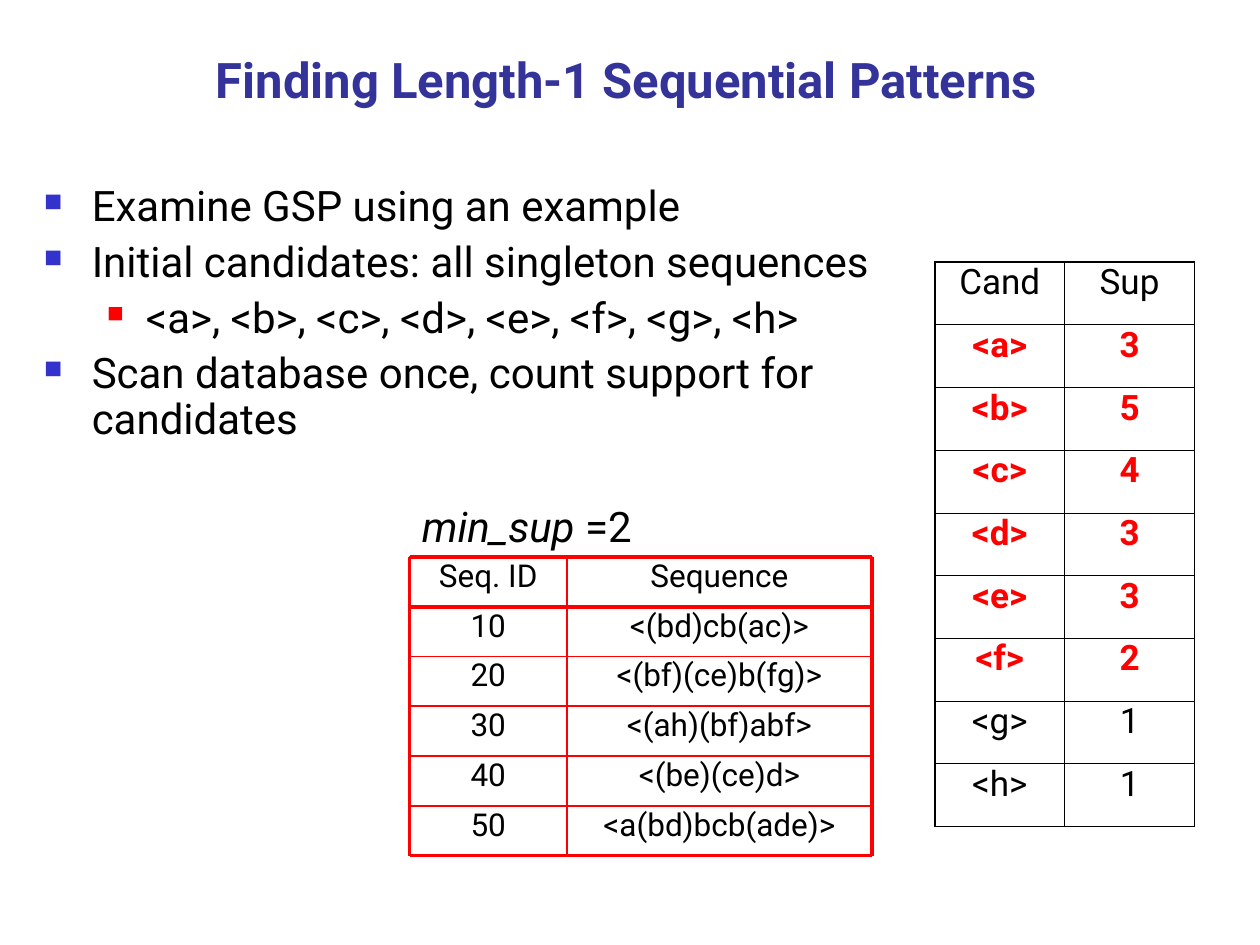
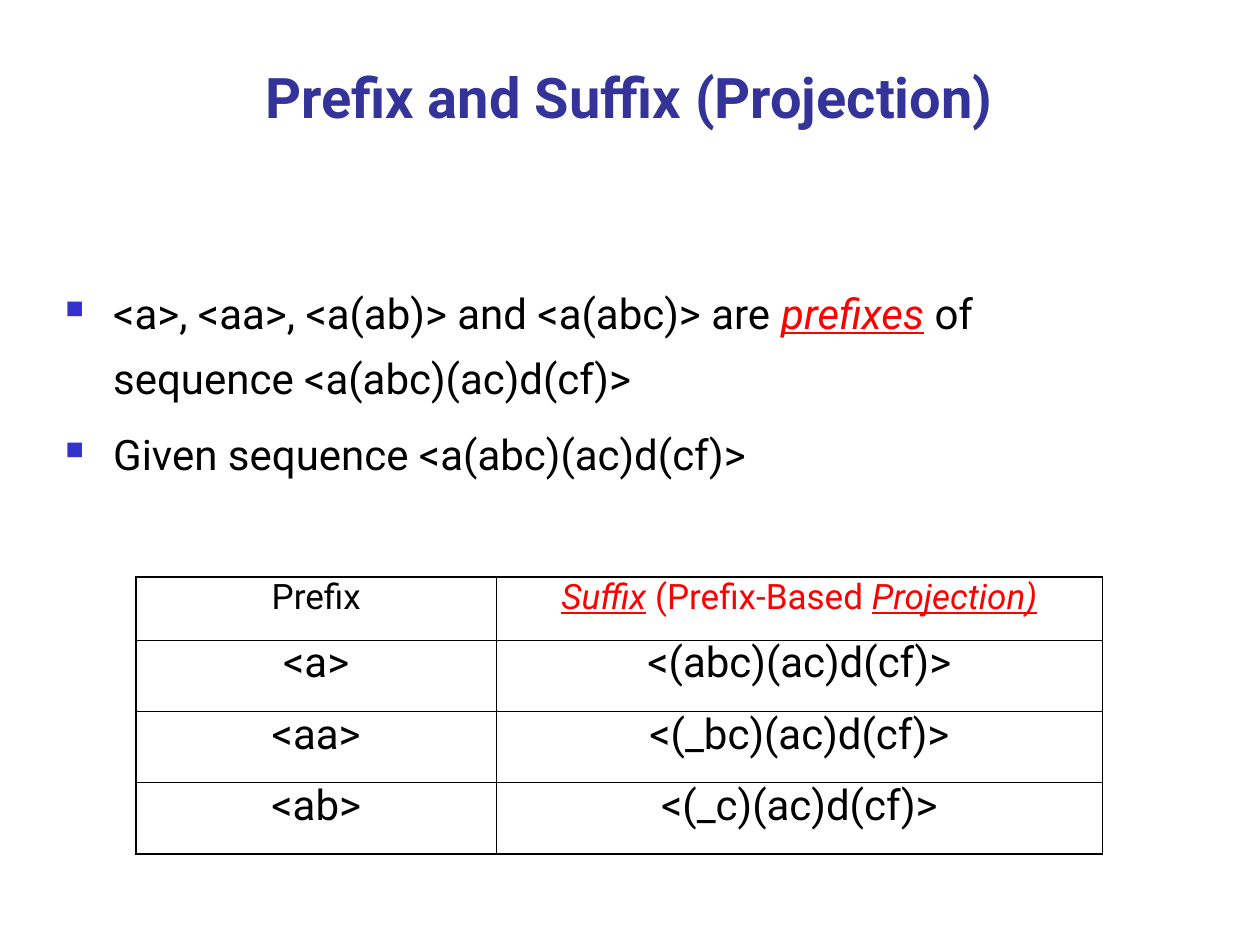
from lxml import etree
from pptx import Presentation
from pptx.dml.color import RGBColor
from pptx.enum import shapes, text
from pptx.oxml import ns
from pptx.util import Inches, Pt

FONT = "Roboto"
TITLE, BULLET, RED, BLACK, WHITE = "333399", "3333CC", "FF0000", "000000", "FFFFFF"
KEY = dict(color=RED, italic=True, underline=True)
LEVELS = [dict(left=0.38, hang=0.38, color=BULLET, size=60),
          dict(left=0.81, hang=0.31, color=RED, size=55)]
MIN_SUP = 2


def rgb(code):
    return RGBColor.from_string(code)


def add_runs(p, runs, size=24, color=BLACK, bold=False, italic=False,
             underline=False, align=None, spacing=None, before=0):
    if isinstance(runs, str):
        runs = [(runs, {})]
    p.alignment = align
    if spacing:
        p.line_spacing = spacing
    p.space_before = Pt(before)
    for words, changes in runs:
        look = dict(color=color, bold=bold, italic=italic, underline=underline) | changes
        r = p.add_run()
        r.text = words
        r.font.name, r.font.size = FONT, Pt(size)
        r.font.bold, r.font.italic = look["bold"], look["italic"]
        r.font.underline = look["underline"]
        r.font.color.rgb = rgb(look["color"])


def add_box(parent, box, anchor=text.MSO_ANCHOR.TOP):
    tf = parent.shapes.add_textbox(*map(Inches, box)).text_frame
    tf.word_wrap = True
    tf.vertical_anchor = anchor
    return tf


def add_title(s, box, words, size):
    tf = add_box(s, box, text.MSO_ANCHOR.BOTTOM)
    add_runs(tf.paragraphs[0], words, size=size, color=TITLE, bold=True,
             align=text.PP_ALIGN.CENTER)


def set_bullet(p, left, hang, color, size):
    pPr = p._p.get_or_add_pPr()
    pPr.set("marL", str(Inches(left)))
    pPr.set("indent", str(-Inches(hang)))
    clr = etree.SubElement(pPr, ns.qn("a:buClr"))
    etree.SubElement(clr, ns.qn("a:srgbClr"), val=color)
    etree.SubElement(pPr, ns.qn("a:buSzPct"), val=str(size * 1000))
    etree.SubElement(pPr, ns.qn("a:buChar"), char="■")


def add_bullets(s, box, items, spacing):
    tf = add_box(s, box)
    for i, (level, runs) in enumerate(items):
        p = tf.add_paragraph() if i else tf.paragraphs[0]
        p.level = level
        set_bullet(p, **LEVELS[level])
        add_runs(p, runs, spacing=spacing, before=6 if i else 0)


def set_borders(cell, widths):
    tcPr = cell._tc.get_or_add_tcPr()
    for i, (side, width) in enumerate(zip("LRTB", widths)):
        ln = etree.Element(ns.qn(f"a:ln{side}"), w=str(Pt(width)))
        fill = etree.SubElement(ln, ns.qn("a:solidFill"))
        etree.SubElement(fill, ns.qn("a:srgbClr"), val=BLACK)
        tcPr.insert(i, ln)


def add_grid(s, box, cols, heights, rows, look, outer=1.08, inner=0.45):
    frame = s.shapes.add_table(len(rows), len(cols), *map(Inches, box))
    table = frame.table
    table.first_row = table.horz_banding = False
    for column, width in zip(table.columns, cols):
        column.width = Inches(width)
    across = [outer] + [inner] * (len(cols) - 1) + [outer]
    down = [outer] + [inner] * (len(rows) - 1) + [outer]
    for i, row in enumerate(rows):
        table.rows[i].height = Inches(heights[i])
        for j, runs in enumerate(row):
            cell = table.cell(i, j)
            cell.fill.background()
            set_borders(cell, across[j:j + 2] + down[i:i + 2])
            add_runs(cell.text_frame.paragraphs[0], runs, spacing=0.8,
                     align=text.PP_ALIGN.CENTER, **look(i, row))


def add_cell(parent, box, words):
    sp = parent.shapes.add_shape(shapes.MSO_SHAPE.RECTANGLE, *map(Inches, box))
    sp.shadow.inherit = False
    sp.fill.background()
    sp.line.color.rgb = rgb(RED)
    sp.line.width = Pt(0.75)
    tf = sp.text_frame
    tf.word_wrap = True
    tf.vertical_anchor = text.MSO_ANCHOR.TOP
    add_runs(tf.paragraphs[0], words, size=18, spacing=0.8, align=text.PP_ALIGN.CENTER)


def add_rule(parent, ends, width):
    c = parent.shapes.add_connector(shapes.MSO_CONNECTOR.STRAIGHT, *map(Inches, ends))
    c.line.color.rgb = rgb(RED)
    c.line.width = Pt(width)
    etree.SubElement(c._element.spPr, ns.qn("a:effectLst"))


def add_sequences(s, left, top):
    sequences = ["<(bd)cb(ac)>", "<(bf)(ce)b(fg)>", "<(ah)(bf)abf>", "<(be)(ce)d>",
                 "<a(bd)bcb(ade)>"]
    rows = [("Seq. ID", "Sequence")]
    rows += [(str(10 * n), seq) for n, seq in enumerate(sequences, 1)]
    xs = [left, left + 1.25, left + 3.67]
    ys = [top + 0.5 + 2.37 / len(rows) * i for i in range(len(rows) + 1)]
    group = s.shapes.add_group_shape()
    for i, row in enumerate(rows):
        for j, words in enumerate(row):
            add_cell(group, (xs[j], ys[i], xs[j + 1] - xs[j], ys[i + 1] - ys[i]), words)
    for i, y in enumerate(ys):
        add_rule(group, (xs[0], y, xs[-1], y), 2.25 if i in (0, 1, len(rows)) else 1)
    for x in xs:
        add_rule(group, (x, ys[0], x, ys[-1]), 1 if x == xs[1] else 2.25)
    tf = add_box(group, (left, top, 2, 0.5))
    add_runs(tf.paragraphs[0], [("min_sup ", dict(italic=True)), (f"={MIN_SUP}", {})])


def add_supports(s, left, top):
    def look(i, row):
        frequent = i > 0 and int(row[1]) >= MIN_SUP
        return dict(size=20, bold=frequent, color=RED if frequent else BLACK)

    rows = [("Cand", "Sup")] + [(f"<{c}>", n) for c, n in zip("abcdefgh", "35433211")]
    add_grid(s, (left, top, 2.06, 4.48), [1.03] * 2, [4.48 / 9] * 9, rows, look)


def add_projections(s, left, top):
    rows = [("Prefix", [("Suffix", KEY), (" (Prefix-Based ", dict(color=RED)),
                        ("Projection)", KEY)]),
            ("<a>", "<(abc)(ac)d(cf)>"),
            ("<aa>", "<(_bc)(ac)d(cf)>"),
            ("<ab>", "<(_c)(ac)d(cf)>")]
    add_grid(s, (left, top, 7.67, 2.2), [2.86, 4.81], [0.5] + [1.7 / 3] * 3, rows,
             lambda i, row: dict(size=24 if i else 20))


def new_slide(prs):
    s = prs.slides.add_slide(prs.slide_layouts[6])
    s.background.fill.solid()
    s.background.fill.fore_color.rgb = rgb(WHITE)
    return s


def length_one_slide(prs):
    s = new_slide(prs)
    add_title(s, (0.75, 0.3, 8.44, 0.61), "Finding Length-1 Sequential Patterns", 28)
    add_bullets(s, (0.25, 1.42, 6.91, 3.23), [
        (0, "Examine GSP using an example"),
        (0, "Initial candidates: all singleton sequences"),
        (1, ", ".join(f"<{c}>" for c in "abcdefgh")),
        (0, "Scan database once, count support for candidates")], spacing=0.9)
    add_sequences(s, 3.25, 3.92)
    add_supports(s, 7.42, 2.08)


def projection_slide(prs):
    s = new_slide(prs)
    add_title(s, (1.16, 0.35, 7.67, 0.73), "Prefix and Suffix (Projection)", 32)
    add_bullets(s, (0.42, 2.11, 8.88, 2.08), [
        (0, [("<a>, <aa>, <a(ab)> and <a(abc)> are ", {}), ("prefixes", KEY),
             (" of sequence <a(abc)(ac)d(cf)>", {})]),
        (0, "Given sequence <a(abc)(ac)d(cf)>")], spacing=1.3)
    add_projections(s, 1.08, 4.58)


def main():
    prs = Presentation()
    prs.slide_width, prs.slide_height = Inches(10), Inches(7.5)
    length_one_slide(prs)
    projection_slide(prs)
    prs.save("out.pptx")


if __name__ == "__main__":
    main()
